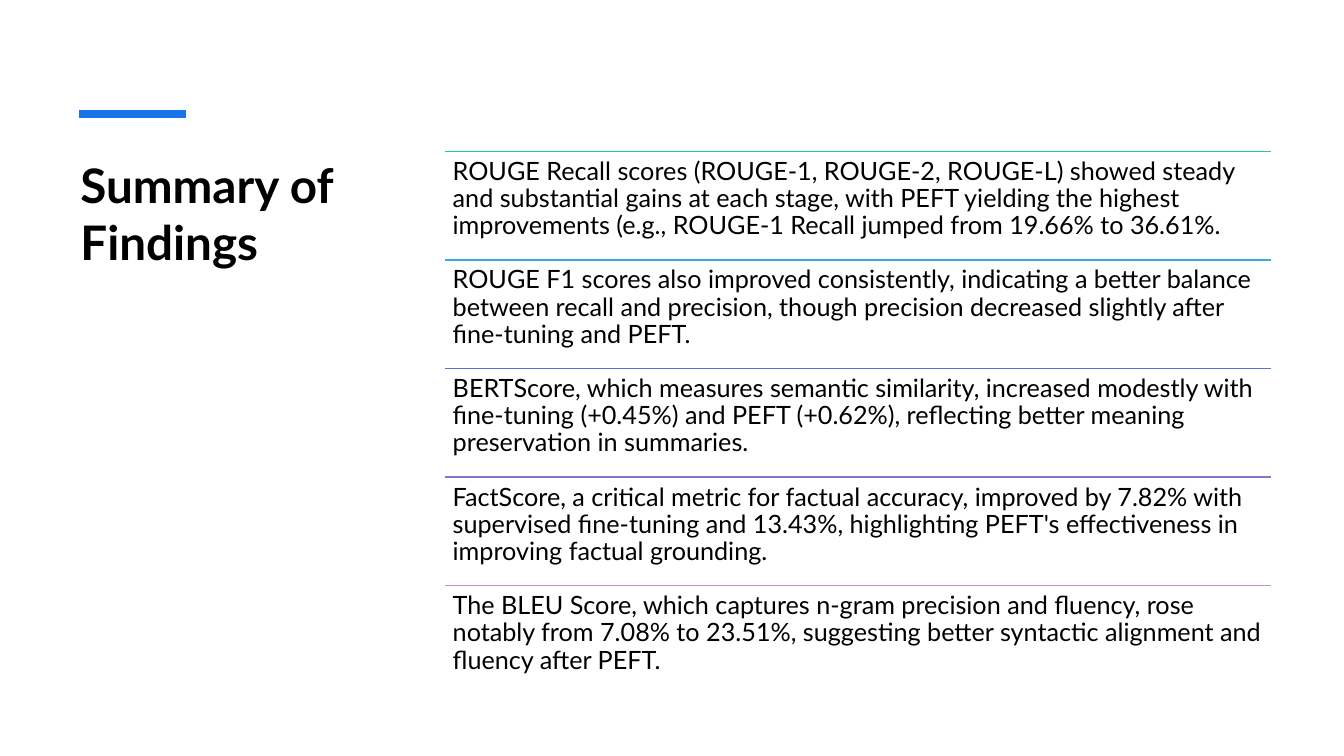
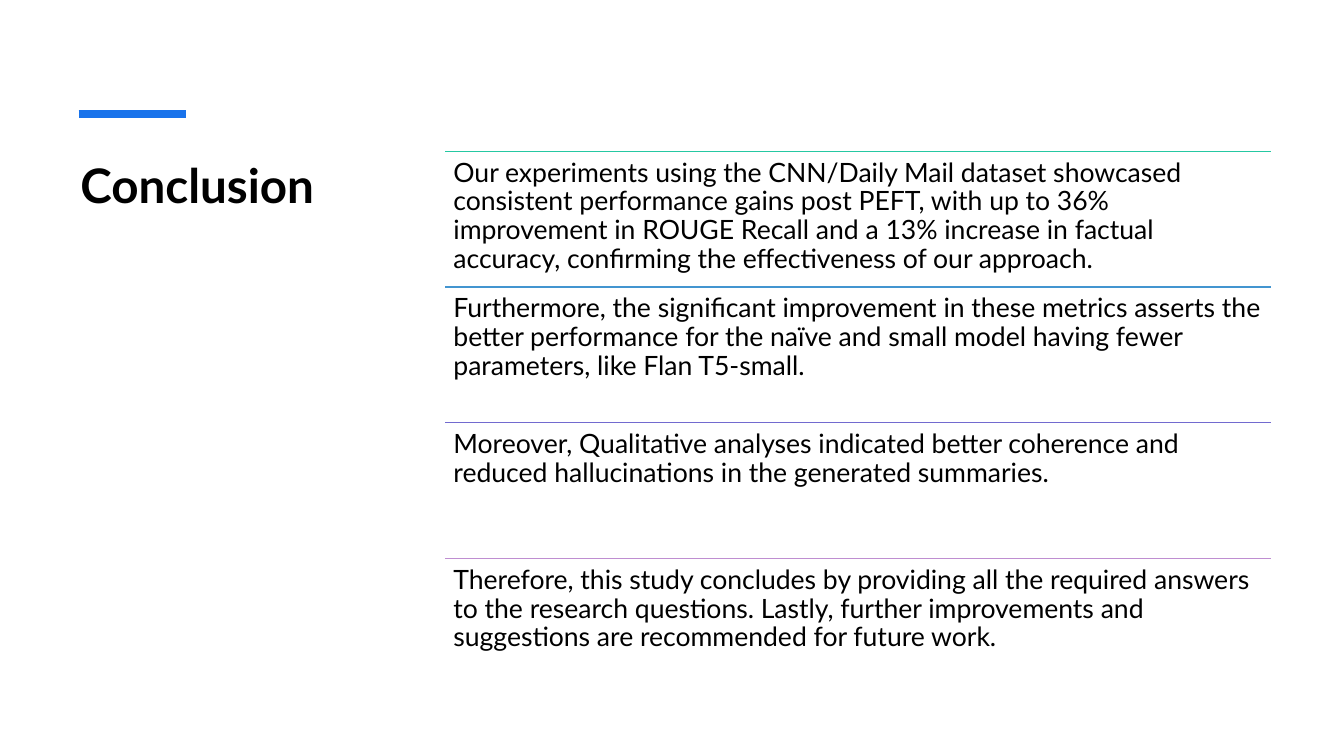
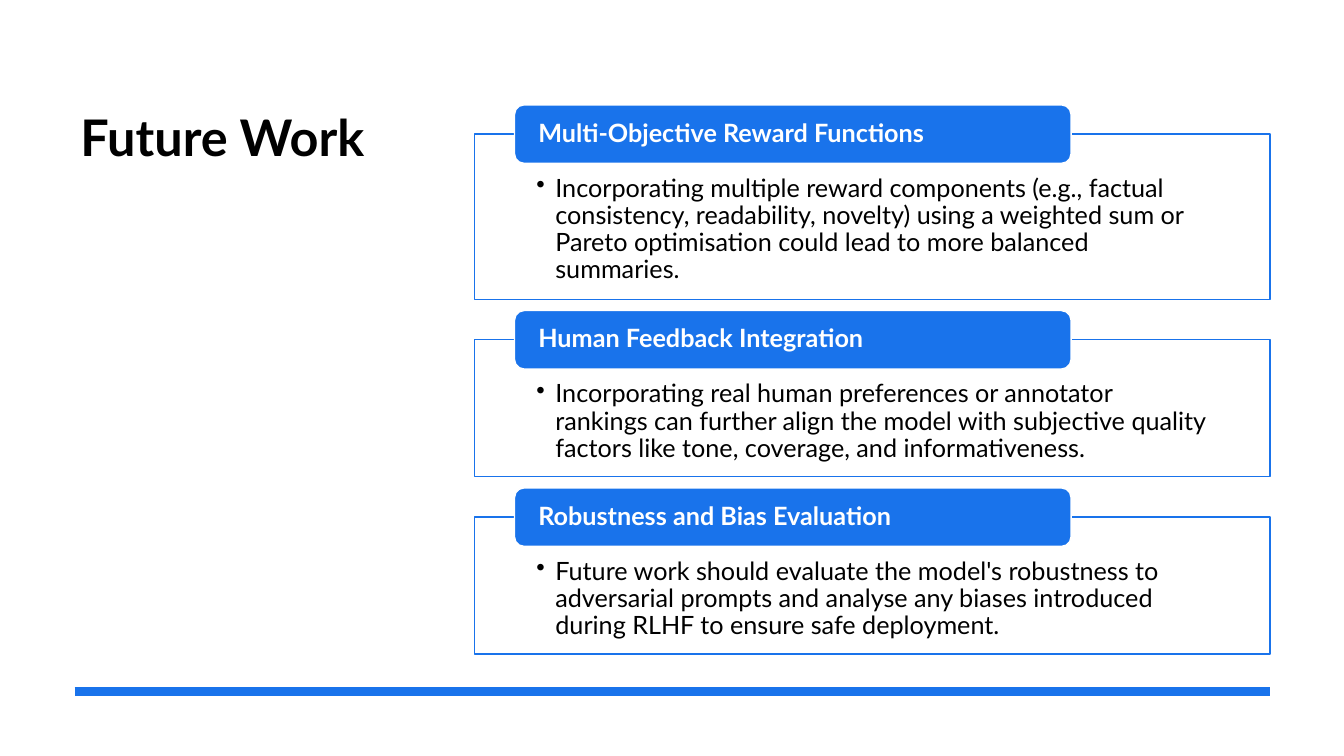
from dataclasses import dataclass

from pptx import Presentation
from pptx.dml.color import RGBColor
from pptx.enum.shapes import MSO_CONNECTOR, MSO_SHAPE
from pptx.enum.text import MSO_ANCHOR, PP_ALIGN
from pptx.oxml.ns import qn
from pptx.util import Pt
from lxml.etree import SubElement


@dataclass(frozen=True)
class Theme:
    font: str = "Lato"
    black: str = "000000"
    white: str = "FFFFFF"
    accent: str = "1973EB"
    title: int = 34
    title_large: int = 36
    body: int = 18
    body_large: int = 19
    thin: int = 1
    bar: int = 6


theme = Theme()


def set_text(sp, text, size, color=theme.black, bold=False, insets=(7.2, 3.6, 7.2, 3.6),
             anchor=MSO_ANCHOR.TOP, spacing=0.9):
    tf = sp.text_frame
    tf.word_wrap = True
    tf.vertical_anchor = anchor
    tf.margin_left, tf.margin_top, tf.margin_right, tf.margin_bottom = map(Pt, insets)
    tf.text = text
    p = tf.paragraphs[0]
    p.alignment = PP_ALIGN.LEFT
    p.line_spacing = spacing
    font = p.runs[0].font
    font.name = theme.font
    font.size = Pt(size)
    font.bold = bold
    font.color.rgb = RGBColor.from_string(color)
    return p


def add_line(s, left, right, y, color, width):
    line = s.shapes.add_connector(MSO_CONNECTOR.STRAIGHT, Pt(left), Pt(y), Pt(right), Pt(y))
    line.line.color.rgb = RGBColor.from_string(color)
    line.line.width = Pt(width)
    SubElement(line._element.spPr, qn("a:effectLst"))


prs = Presentation()
prs.slide_width, prs.slide_height = Pt(960), Pt(540)
blank = prs.slide_layouts[6]

list_slides = [
    ("Summary of Findings", theme.body, 5.2, [
        ("25C8A2", "ROUGE Recall scores (ROUGE-1, ROUGE-2, ROUGE-L) showed steady and substantial gains at each stage, with PEFT yielding the highest improvements (e.g., ROUGE-1 Recall jumped from 19.66% to 36.61%."),
        ("39AAD1", "ROUGE F1 scores also improved consistently, indicating a better balance between recall and precision, though precision decreased slightly after fine-tuning and PEFT."),
        ("5775CF", "BERTScore, which measures semantic similarity, increased modestly with fine-tuning (+0.45%) and PEFT (+0.62%), reflecting better meaning preservation in summaries."),
        ("8974CF", "FactScore, a critical metric for factual accuracy, improved by 7.82% with supervised fine-tuning and 13.43%, highlighting PEFT's effectiveness in improving factual grounding."),
        ("BF8ED1", "The BLEU Score, which captures n-gram precision and fluency, rose notably from 7.08% to 23.51%, suggesting better syntactic alignment and fluency after PEFT."),
    ]),
    ("Conclusion", theme.body_large, 5.7, [
        ("25C8A2", "Our experiments using the CNN/Daily Mail dataset showcased consistent performance gains post PEFT, with up to 36% improvement in ROUGE Recall and a 13% increase in factual accuracy, confirming the effectiveness of our approach."),
        ("4395D0", "Furthermore, the significant improvement in these metrics asserts the better performance for the naïve and small model having fewer parameters, like Flan T5-small."),
        ("726ACF", "Moreover, Qualitative analyses indicated better coherence and reduced hallucinations in the generated summaries."),
        ("BF8ED1", "Therefore, this study concludes by providing all the required answers to the research questions. Lastly, further improvements and suggestions are recommended for future work."),
    ]),
]

list_left, list_top, list_width, list_height = 318.2, 108, 589.8, 388

for title, size, inset, rows in list_slides:
    s = prs.slides.add_slide(blank)
    sp = s.shapes.add_textbox(Pt(50.4), Pt(108), Pt(208.8), Pt(327))
    set_text(sp, title, theme.title, bold=True, spacing=1.0)
    add_line(s, 56.2, 133.2, 81.4, theme.accent, theme.bar)
    row_height = list_height / len(rows)
    for i, (color, text) in enumerate(rows):
        y = list_top + i * row_height
        add_line(s, list_left, list_left + list_width, y, color, theme.thin)
        sp = s.shapes.add_textbox(Pt(list_left), Pt(y), Pt(list_width), Pt(row_height))
        set_text(sp, text, size, insets=(inset,) * 4)

cards = [
    ("Multi-Objective Reward Functions", 118.1,
     "Incorporating multiple reward components (e.g., factual consistency, readability, novelty) using a weighted sum or Pareto optimisation could lead to more balanced summaries."),
    ("Human Feedback Integration", 97.9,
     "Incorporating real human preferences or annotator rankings can further align the model with subjective quality factors like tone, coverage, and informativeness."),
    ("Robustness and Bias Evaluation", 97.9,
     "Future work should evaluate the model's robustness to adversarial prompts and analyse any biases introduced during RLHF to ensure safe deployment."),
]

s = prs.slides.add_slide(blank)
sp = s.shapes.add_textbox(Pt(50.4), Pt(72), Pt(236.2), Pt(327.6))
set_text(sp, "Future Work", theme.title_large, bold=True, spacing=1.0)
add_line(s, 53.3, 907.2, 493.9, theme.accent, theme.bar)

card_left, card_width, card_gap = 339.1, 568.1, 28.8
y = 95.8
for heading, height, text in cards:
    card = s.shapes.add_shape(MSO_SHAPE.RECTANGLE, Pt(card_left), Pt(y), Pt(card_width), Pt(height))
    label = s.shapes.add_shape(MSO_SHAPE.ROUNDED_RECTANGLE, Pt(card_left + 28.4), Pt(y - 20.9),
                               Pt(397.6), Pt(41.8))
    for sp, fill, outline in ((card, theme.white, theme.accent), (label, theme.accent, theme.white)):
        sp.shadow.inherit = False
        sp.fill.solid()
        sp.fill.fore_color.rgb = RGBColor.from_string(fill)
        sp.line.color.rgb = RGBColor.from_string(outline)
        sp.line.width = Pt(theme.thin)
    color = card._element.spPr.find(qn("a:solidFill")).find(qn("a:srgbClr"))
    SubElement(color, qn("a:alpha")).set("val", "90000")
    p = set_text(card, text, theme.body, insets=(44.1, 29.5, 44.1, 10))
    p.level = 1
    pPr = p._p.get_or_add_pPr()
    pPr.set("marL", str(Pt(13.5)))
    pPr.set("indent", str(-Pt(13.5)))
    SubElement(pPr, qn("a:buChar")).set("char", "•")
    set_text(label, heading, theme.body, theme.white, True, (15, 0, 15, 0), MSO_ANCHOR.MIDDLE)
    y += height + card_gap

prs.save("out.pptx")
